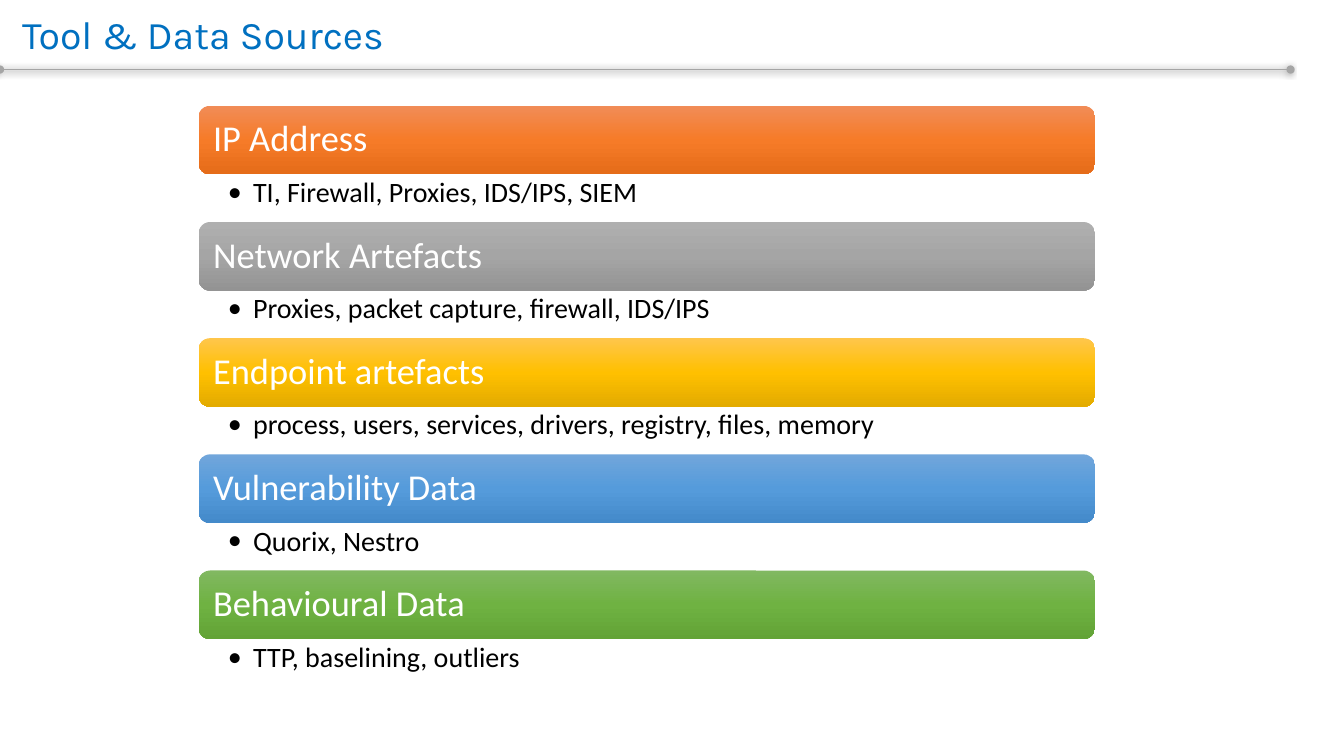
from lxml import etree
from pptx import Presentation
from pptx.dml.color import RGBColor
from pptx.enum.shapes import MSO_CONNECTOR, MSO_SHAPE
from pptx.enum.text import MSO_ANCHOR, PP_ALIGN
from pptx.oxml import parse_xml
from pptx.oxml.ns import nsdecls, qn
from pptx.util import Inches, Pt

ROUND_RECT = MSO_SHAPE.ROUNDED_RECTANGLE
STRAIGHT = MSO_CONNECTOR.STRAIGHT
TOP, MIDDLE = MSO_ANCHOR.TOP, MSO_ANCHOR.MIDDLE
LEFT_ALIGN = PP_ALIGN.LEFT

TITLE_BLUE = RGBColor(0x00, 0x70, 0xC0)
RULE_GREY = RGBColor(0xA5, 0xA5, 0xA5)
WHITE = RGBColor(0xFF, 0xFF, 0xFF)
BLACK = RGBColor(0x00, 0x00, 0x00)

# Heading, details, and gradient colours from top to bottom
SOURCES = [
    ("IP Address", "TI, Firewall, Proxies, IDS/IPS, SIEM",
     ("F18C57", "F67B28", "E56C19")),
    ("Network Artefacts", "Proxies, packet capture, firewall, IDS/IPS",
     ("AFAFAF", "A5A5A5", "939393")),
    ("Endpoint artefacts", "process, users, services, drivers, registry, files, memory",
     ("FFC64B", "FFC000", "E3AB00")),
    ("Vulnerability Data", "Quorix, Nestro",
     ("71A6DB", "559BDB", "448ACA")),
    ("Behavioural Data", "TTP, baselining, outliers",
     ("81B861", "6FB242", "62A336")),
]
LEFT, FIRST_TOP, WIDTH = 1.97, 1.05, 8.89
BAR_H, DETAIL_H = 0.68, 0.47
PITCH = 4.61 / 4


def write_text(sp, text, font, size, color, anchor, insets):
    tf = sp.text_frame
    tf.word_wrap = True
    tf.vertical_anchor = anchor
    tf.margin_left, tf.margin_top, tf.margin_right, tf.margin_bottom = map(Inches, insets)
    p = tf.paragraphs[0]
    p.alignment = LEFT_ALIGN
    p.line_spacing = 0.9
    r = p.add_run()
    r.text = text
    r.font.name = font
    r.font.size = Pt(size)
    r.font.color.rgb = color
    return p


def fill_gradient(sp, colors):
    sp.fill.gradient()
    sp.fill.gradient_angle = 270
    stops = sp._element.spPr.find(qn("a:gradFill")).find(qn("a:gsLst"))
    stops.clear()
    for i, color in enumerate(colors):
        stop = etree.SubElement(stops, qn("a:gs"), pos=str(i * 50000))
        etree.SubElement(stop, qn("a:srgbClr"), val=color)


prs = Presentation()
prs.slide_width, prs.slide_height = Inches(13.33), Inches(7.5)
s = prs.slides.add_slide(prs.slide_layouts[5])

# Title
title = s.shapes.title
title.left, title.top = Inches(0.12), Inches(0.11)
title.width, title.height = Inches(11.5), Inches(0.51)
write_text(title, "Tool & Data Sources", "Karla", 28, TITLE_BLUE, MIDDLE,
           (0.1, 0.05, 0.1, 0.05))

# Rule under the title, with round ends and a soft shadow
rule = s.shapes.add_connector(STRAIGHT, Inches(0), Inches(0.69), Inches(12.8), Inches(0.69))
rule.line.color.rgb = RULE_GREY
rule.line.width = Pt(0.75)
ln = rule.line._get_or_add_ln()
for end in ("a:headEnd", "a:tailEnd"):
    etree.SubElement(ln, qn(end), type="oval")
rule._element.spPr.append(parse_xml(
    f'<a:effectLst {nsdecls("a")}>'
    f'<a:outerShdw blurRad="{Pt(4)}" dist="{Pt(3)}" dir="10800000" rotWithShape="0">'
    '<a:srgbClr val="000000"><a:alpha val="40000"/></a:srgbClr>'
    '</a:outerShdw></a:effectLst>'))

# Heading bars, each with its details below
for i, (heading, details, colors) in enumerate(SOURCES):
    top = FIRST_TOP + i * PITCH
    bar = s.shapes.add_shape(ROUND_RECT, Inches(LEFT), Inches(top),
                             Inches(WIDTH), Inches(BAR_H))
    bar.shadow.inherit = False
    bar.line.fill.background()
    fill_gradient(bar, colors)
    # The rounded corners already inset the text by 0.03
    write_text(bar, heading, "Calibri", 26, WHITE, MIDDLE, (0.11, 0.11, 0.11, 0.11))

    box = s.shapes.add_textbox(Inches(LEFT), Inches(top + BAR_H),
                               Inches(WIDTH), Inches(DETAIL_H))
    p = write_text(box, details, "Calibri", 20, BLACK, TOP, (0.29, 0.04, 0.2, 0.04))
    pPr = p._p.get_or_add_pPr()
    pPr.set("marL", str(Inches(0.25)))
    pPr.set("indent", str(-Inches(0.25)))
    etree.SubElement(pPr, qn("a:buFont"), typeface="Calibri")
    etree.SubElement(pPr, qn("a:buChar"), char="•")

prs.save("out.pptx")
